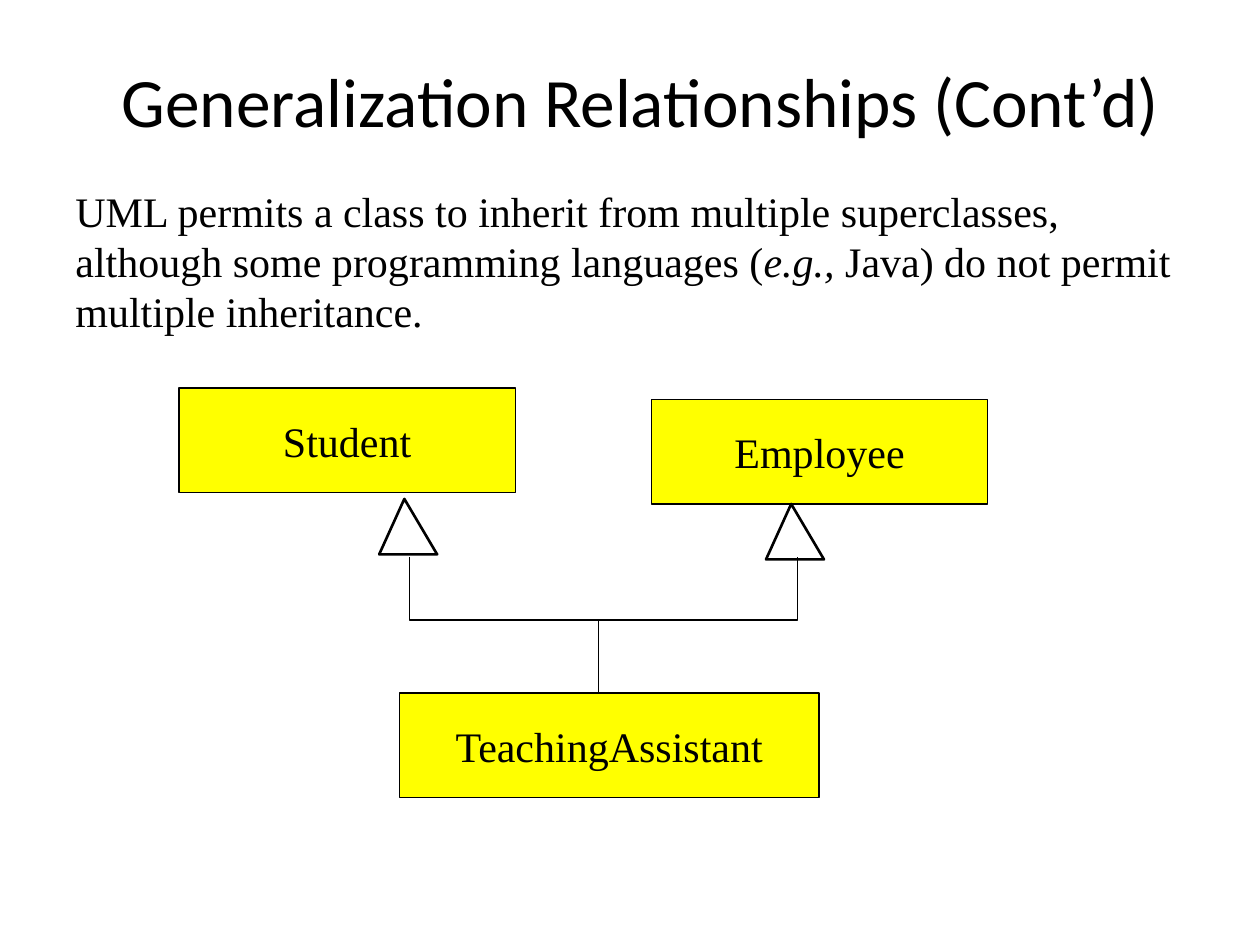
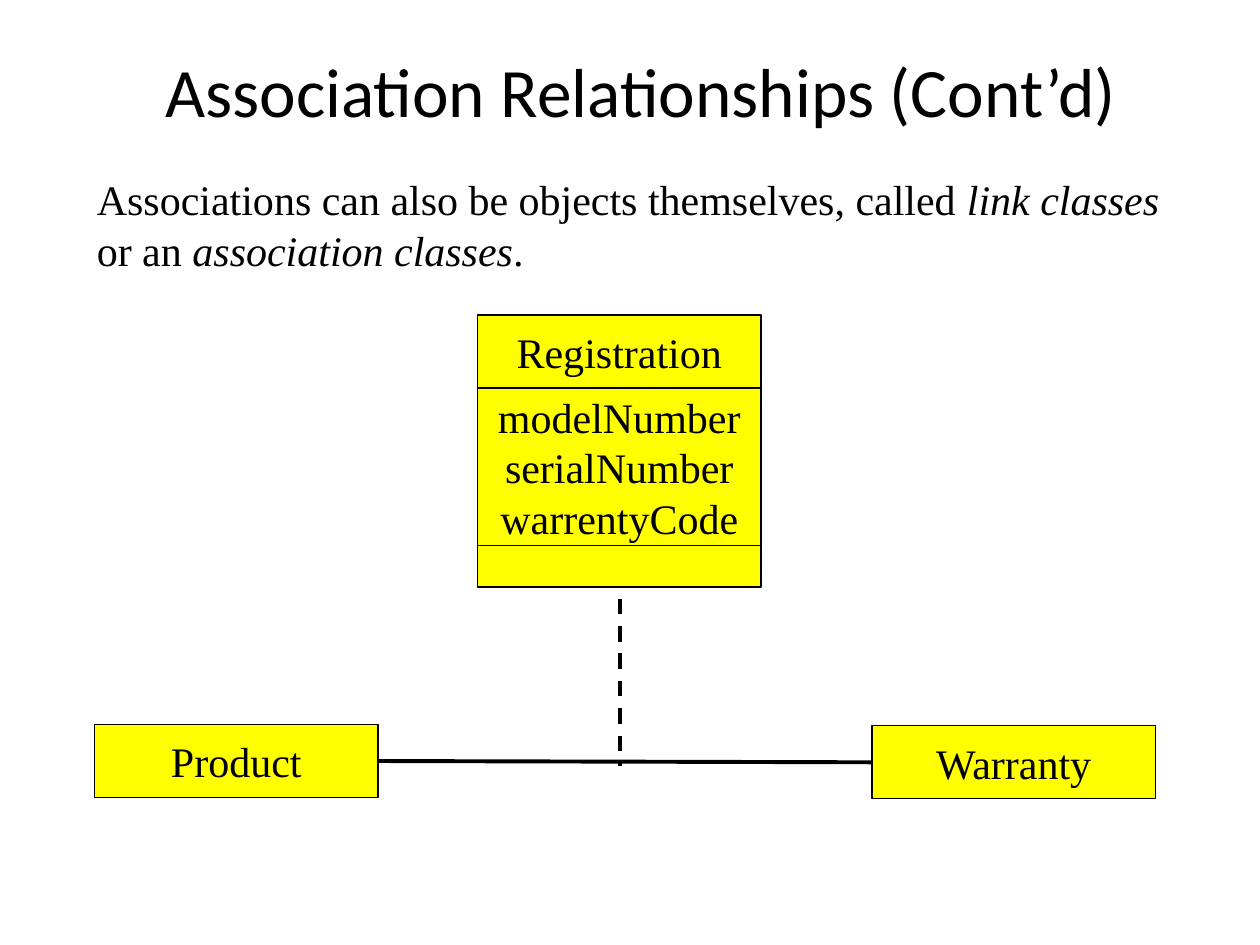
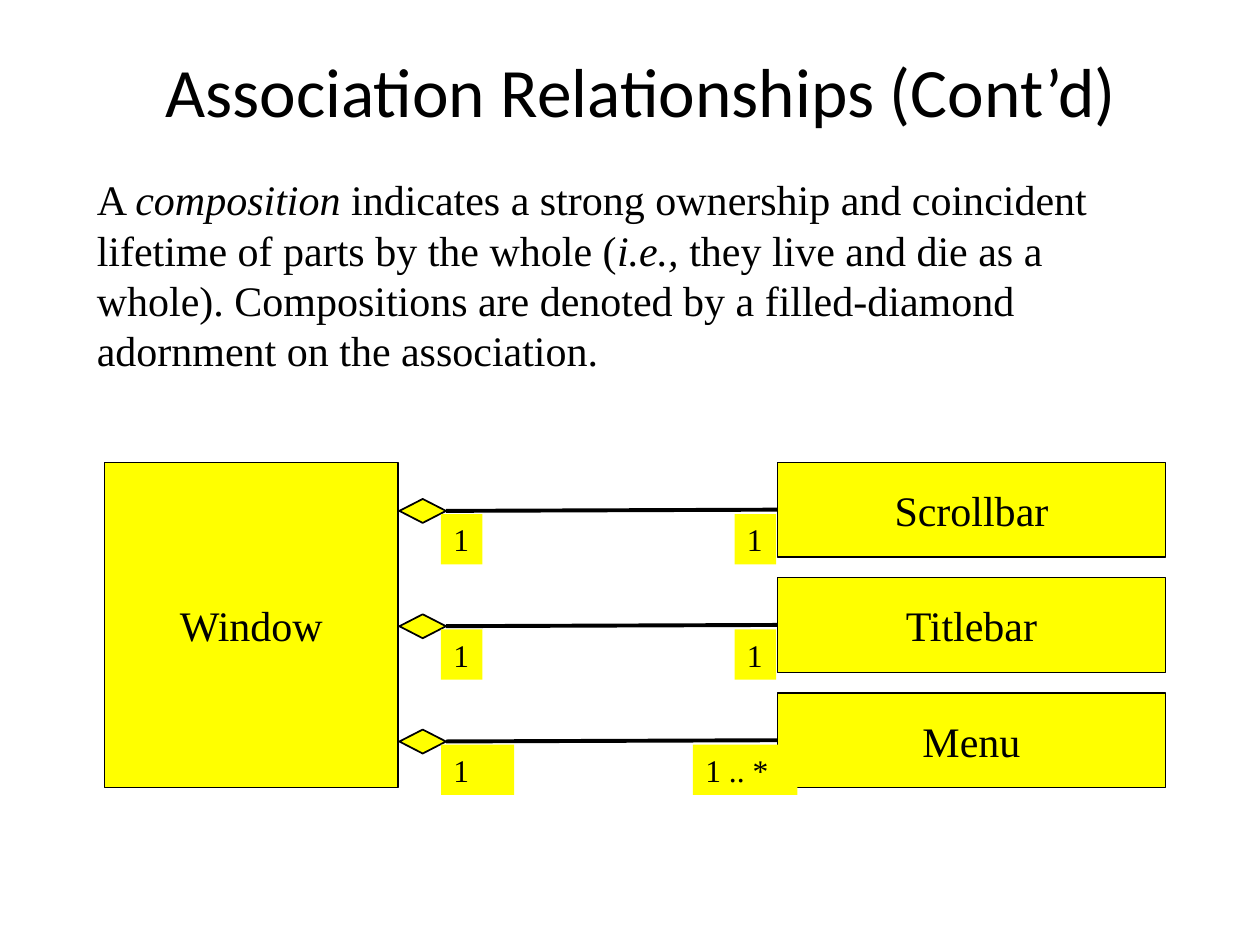
from lxml.etree import SubElement
from pptx import Presentation
from pptx.dml.color import RGBColor
from pptx.enum.dml import MSO_LINE
from pptx.enum.shapes import MSO_CONNECTOR, MSO_SHAPE
from pptx.enum.text import MSO_ANCHOR, PP_ALIGN
from pptx.oxml.ns import qn
from pptx.util import Inches, Pt

HUES = {"ink": "000000", "paper": "FFFFFF", "box": "FFFF00"}
SANS, SERIF = "Calibri", "Times New Roman"


def hue(name):
    """Return a named colour."""
    return RGBColor.from_string(HUES[name])


def style(part, size, face=SERIF, align=PP_ALIGN.LEFT):
    """Set the font and alignment of a paragraph."""
    part.alignment = align
    part.font.name = face
    part.font.size = Pt(size)
    part.font.color.rgb = hue("ink")


def paint(shape, fill=None, width=None):
    """Set fill and outline, and drop the shadow."""
    shape.shadow.inherit = False
    if fill:
        shape.fill.solid()
        shape.fill.fore_color.rgb = hue(fill)
    else:
        shape.fill.background()
    if width:
        shape.line.color.rgb = hue("ink")
        shape.line.width = Pt(width)
    else:
        shape.line.fill.background()


def title(slide, text, x, y, w):
    """Add the centred slide title."""
    frame = slide.shapes.add_textbox(Inches(x), Inches(y), Inches(w), Inches(0.58)).text_frame
    frame.word_wrap = True
    frame.vertical_anchor = MSO_ANCHOR.MIDDLE
    frame.text = text
    style(frame.paragraphs[0], 39.6, SANS, PP_ALIGN.CENTER)


def body(slide, runs, x, y, w, h):
    """Add a paragraph whose every second run is italic."""
    frame = slide.shapes.add_textbox(Inches(x), Inches(y), Inches(w), Inches(h)).text_frame
    frame.word_wrap = True
    part = frame.paragraphs[0]
    style(part, 24)
    for i, text in enumerate(runs):
        run = part.add_run()
        run.text = text
        run.font.italic = i % 2 == 1


def box(slide, text, x, y, w, h):
    """Add an outlined class box with centred lines of text."""
    shape = slide.shapes.add_shape(
        MSO_SHAPE.RECTANGLE, Inches(x), Inches(y), Inches(w), Inches(h))
    paint(shape, "box", 0.75)
    frame = shape.text_frame
    frame.word_wrap = False
    frame.vertical_anchor = MSO_ANCHOR.MIDDLE
    frame.text = text
    for part in frame.paragraphs:
        style(part, 24, align=PP_ALIGN.CENTER)
    return shape


def label(slide, text, x, y, w):
    """Add a filled multiplicity label."""
    shape = slide.shapes.add_shape(
        MSO_SHAPE.RECTANGLE, Inches(x), Inches(y), Inches(w), Inches(0.4))
    paint(shape, "box")
    frame = shape.text_frame
    frame.word_wrap = True
    frame.vertical_anchor = MSO_ANCHOR.TOP
    frame.text = text
    style(frame.paragraphs[0], 18)


def line(slide, width, x=0, y=0, x2=0, y2=0):
    """Add a straight line without a shadow."""
    link = slide.shapes.add_connector(
        MSO_CONNECTOR.STRAIGHT, Inches(x), Inches(y), Inches(x2), Inches(y2))
    link.line.color.rgb = hue("ink")
    link.line.width = Pt(width)
    SubElement(link._element.spPr, qn("a:effectLst"))
    return link


def join(slide, left, right):
    """Link the right side of one shape to the left side of another."""
    link = line(slide, 2.25)
    link.begin_connect(left, 3)
    link.end_connect(right, 1)


def outline(slide, x, y, points, width, fill=None, close=False):
    """Draw a path through points given relative to x, y."""
    spots = [(Inches(x + dx), Inches(y + dy)) for dx, dy in points]
    pen = slide.shapes.build_freeform(*spots[0], scale=1.0)
    pen.add_line_segments(spots[1:], close=close)
    paint(pen.convert_to_shape(), fill, width)


def family(slide, x, y):
    """Draw two superclasses and their shared subclass."""
    box(slide, "Student", x, y, 2.67, 0.83)
    box(slide, "Employee", x + 3.75, y + 0.09, 2.67, 0.83)
    box(slide, "TeachingAssistant", x + 1.75, y + 2.42, 3.33, 0.83)
    line(slide, 1, x + 3.33, y + 1.84, x + 3.33, y + 2.42)
    for dx, dy in ((1.59, 0.88), (4.66, 0.92)):
        outline(slide, x + dx, y + dy, [(0.2, 0), (0, 0.44), (0.46, 0.44)], 1.5, "paper", True)
    outline(slide, x + 1.83, y + 1.34, [(0, 0), (0, 0.5), (3.08, 0.5), (3.08, 0)], 1)


def register(slide, x, y):
    """Draw the link class and the association it hangs from."""
    w, top = 2.25, y
    parts = (("Registration", 0.58), ("modelNumber\nserialNumber\nwarrentyCode", 1.25), ("", 0.33))
    for text, h in parts:
        box(slide, text, x + 3.04, top, w, h)
        top += h
    left = box(slide, "Product", x, y + 3.25, w, 0.58)
    right = box(slide, "Warranty", x + 6.17, y + 3.26, w, 0.58)
    join(slide, left, right)
    dash = line(slide, 2.25, x + 4.17, y + 2.25, x + 4.17, y + 3.58)
    dash.line.dash_style = MSO_LINE.DASH


def window(slide, x, y):
    """Draw the whole on the left and its parts on the right."""
    high, row = 2.58, 0.75
    step = (high - row) / 2
    box(slide, "Window", x, y, 2.33, high)
    parts = (("Scrollbar", 0.33, "1", 5, 0.33),
             ("Titlebar", 0.33, "1", 5, 0.33),
             ("Menu", 0.58, "1 .. *", 4.67, 0.83))
    for i, (name, near, many, far, wide) in enumerate(parts):
        top = y + i * step
        gem = slide.shapes.add_shape(
            MSO_SHAPE.DIAMOND, Inches(x + 2.34), Inches(top + 0.29), Inches(0.37), Inches(0.19))
        paint(gem, "box", 1)
        join(slide, gem, box(slide, name, x + 5.34, top, 3.08, row))
        label(slide, "1", x + 2.67, top + 0.41, near)
        label(slide, many, x + far, top + 0.41, wide)


def main():
    """Build the three slides."""
    deck = Presentation()
    deck.slide_width, deck.slide_height = Inches(10), Inches(7.5)
    first, second, third = (deck.slides.add_slide(deck.slide_layouts[6]) for _ in range(3))

    title(first, "Generalization Relationships (Cont’d)", 0, 0.5, 10.17)
    body(first, ["UML permits a class to inherit from multiple superclasses, although some "
                 "programming languages (", "e.g.,", " Java) do not permit multiple inheritance."],
         0.5, 1.42, 8.92, 1.3)
    family(first, 1.42, 3.08)

    for slide in (second, third):
        title(slide, "Association Relationships (Cont’d)", 0.67, 0.42, 8.83)
    body(second, ["Associations can also be objects themselves, called ", "link classes",
                  " or an ", "association classes", "."], 0.67, 1.33, 8.87, 0.9)
    register(second, 0.75, 2.5)

    body(third, ["A ", "composition ", "indicates a strong ownership and coincident lifetime of "
                 "parts by the whole (", "i.e.,", " they live and die as a whole). Compositions are "
                 "denoted by a filled-diamond adornment on the association."],
         0.67, 1.33, 8.58, 1.7)
    window(third, 0.83, 3.67)
    deck.save("out.pptx")


if __name__ == "__main__":
    main()
